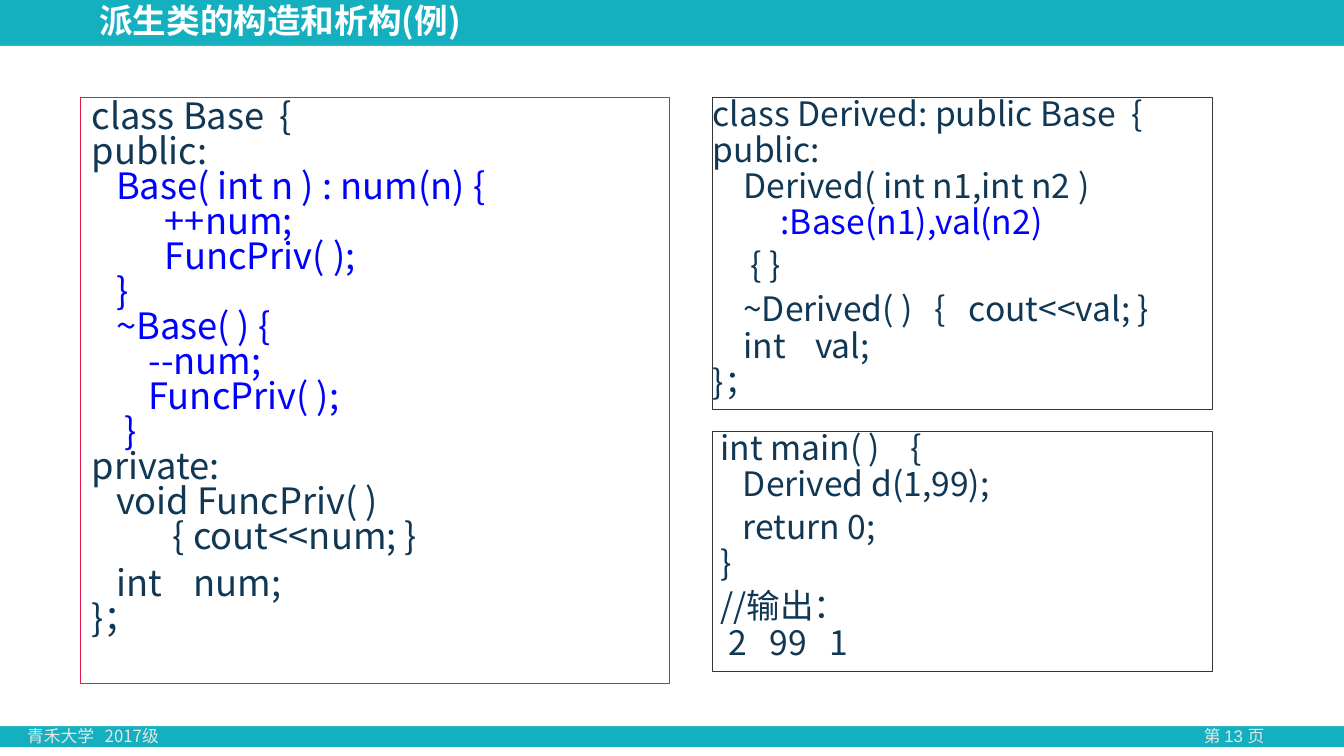
from lxml import etree
from pptx import Presentation, util as u
from pptx.dml.color import RGBColor
from pptx.enum import shapes, text
from pptx.oxml.ns import qn

TEAL = RGBColor(0x14, 0xB0, 0xC0)
WHITE = RGBColor(0xFF, 0xFF, 0xFF)
PALE = RGBColor(0xE7, 0xE6, 0xE6)
NAVY = RGBColor(0x10, 0x37, 0x54)
BLUE = RGBColor(0x00, 0x00, 0xFF)
CRIMSON = RGBColor(0xE6, 0x1A, 0x4B)
GRAPHITE = RGBColor(0x34, 0x35, 0x37)
SANS = "Noto Sans CJK SC"
WIDTH, HEIGHT = u.Inches(13.33), u.Inches(7.5)
SPACE_SHARE = 0.224

BASE_CLASS = [
    ("class Base\t{", [23.1], NAVY, 0),
    ("public:", [], NAVY, 0),
    ("\tBase( int n ) : num(n) {", [3], BLUE, 0),
    ("\t++num;", [9], BLUE, 0),
    ("\tFuncPriv( );", [9], BLUE, 0),
    ("\t}", [3], BLUE, 0),
    ("\t~Base( ) {", [3], BLUE, 0),
    ("\t--num;", [7], BLUE, 0),
    ("\tFuncPriv( );", [7], BLUE, 0),
    ("\t}", [4], BLUE, 0),
    ("private:", [], NAVY, 0),
    ("\tvoid FuncPriv( )", [3], NAVY, 0),
    ("\t{ cout<<num; }", [10], NAVY, 0),
    ("\tint\tnum;", [3, 12.55], NAVY, 9),
    ("}；", [], NAVY, 0),
]
DERIVED_CLASS = [
    ("class Derived: public Base\t{", [55.6], NAVY, 0),
    ("public:", [], NAVY, 0),
    ("\tDerived( int n1,int n2 )", [4.05], NAVY, 0),
    ("\t:Base(n1),val(n2)", [9], BLUE, 0),
    ("\t{ }", [5], NAVY, 5),
    ("\t~Derived( )\t{\tcout<<val; }", [4.05, 29.5, 34], NAVY, 5.5),
    ("\tint\tval;", [4.05, 13.6], NAVY, 0.7),
    ("}；", [], NAVY, 0.5),
]
MAIN_FUNCTION = [
    ("\tint main( )\t{", [1, 26.2], NAVY, 0),
    ("\tDerived d(1,99);", [4], NAVY, 0),
    ("\treturn 0;", [4], NAVY, 5),
    ("\t}", [1], NAVY, 0),
    ("\t//输出：", [1], NAVY, 5),
    ("\t2\t99\t1", [2.1, 7.55, 15.45], NAVY, 0.5),
]


def apply(target, values):
    for name, value in values.items():
        setattr(target, name, value)


def share(left, top, width, height):
    return [int(size * percent / 100) for size, percent in
            zip((WIDTH, HEIGHT, WIDTH, HEIGHT), (left, top, width, height))]


def write(paragraph, wording, size, color, font=SANS, bold=False):
    run = paragraph.add_run()
    run.text = wording
    apply(run.font, {"name": font, "size": u.Pt(size), "bold": bold})
    run.font.color.rgb = color
    etree.SubElement(run.font._element, qn("a:ea"), typeface=SANS)


def set_tabs(paragraph, stops, unit):
    tabs = etree.SubElement(paragraph._p.get_or_add_pPr(), qn("a:tabLst"))
    for stop in stops:
        etree.SubElement(tabs, qn("a:tab"), pos=str(int(stop * unit)), algn="l")


def panel(slide, area, color):
    backdrop = slide.shapes.add_shape(shapes.MSO_SHAPE.RECTANGLE, *share(*area))
    backdrop.shadow.inherit = False
    backdrop.fill.solid()
    backdrop.fill.fore_color.rgb = color
    backdrop.line.fill.background()


def code_box(slide, area, lines, outline, size, pitch, inset, headroom):
    box = slide.shapes.add_shape(shapes.MSO_SHAPE.RECTANGLE, *share(*area))
    box.shadow.inherit = False
    box.fill.background()
    box.line.color.rgb = outline
    box.line.width = u.Pt(0.75)
    frame = box.text_frame
    apply(frame, {"word_wrap": True, "vertical_anchor": text.MSO_ANCHOR.TOP,
                  "margin_left": u.Inches(inset), "margin_right": u.Inches(inset),
                  "margin_top": u.Inches(headroom), "margin_bottom": 0})
    for index, (wording, stops, color, gap) in enumerate(lines):
        line = frame.add_paragraph() if index else frame.paragraphs[0]
        apply(line, {"alignment": text.PP_ALIGN.LEFT, "line_spacing": u.Pt(pitch),
                     "space_before": u.Pt(gap)})
        if stops:
            set_tabs(line, stops, u.Pt(size) * SPACE_SHARE)
        write(line, wording, size, color)


def footer(slide, area, wording, font, alignment, stops=()):
    frame = slide.shapes.add_textbox(*share(*area)).text_frame
    frame.word_wrap = True
    frame.paragraphs[0].alignment = alignment
    if stops:
        set_tabs(frame.paragraphs[0], stops, u.Inches(1))
    write(frame.paragraphs[0], wording, 12, PALE, font)


def heading(slide, area, wording):
    title = slide.shapes.title
    apply(title, dict(zip(("left", "top", "width", "height"), share(*area))))
    frame = title.text_frame
    apply(frame, {"word_wrap": True, "vertical_anchor": text.MSO_ANCHOR.MIDDLE,
                  "auto_size": text.MSO_AUTO_SIZE.NONE})
    apply(frame.paragraphs[0], {"alignment": text.PP_ALIGN.LEFT, "line_spacing": 0.9})
    write(frame.paragraphs[0], wording, 24, WHITE, bold=True)


def main():
    deck = Presentation()
    apply(deck, {"slide_width": WIDTH, "slide_height": HEIGHT})
    slide = deck.slides.add_slide(deck.slide_layouts[5])
    panel(slide, (0, -1.2, 100, 100), TEAL)
    panel(slide, (0, 6.07, 100, 90), WHITE)
    footer(slide, (86.35, 95.4, 10.95, 4), "第 13 页", "Arial", text.PP_ALIGN.CENTER)
    footer(slide, (1.28, 95.4, 13.8, 4), "青禾大学\t2017级", SANS,
           text.PP_ALIGN.LEFT, [0.77])
    heading(slide, (6.64, 0.45, 57.61, 5.2), "派生类的构造和析构(例)")
    slide.shapes._spTree.append(slide.shapes.title._element)
    code_box(slide, (6, 12.87, 43.81, 77.6), BASE_CLASS, CRIMSON, 25.9, 25, 0.11, 0.04)
    code_box(slide, (53.04, 12.87, 37.21, 41.33), DERIVED_CLASS, GRAPHITE, 24, 25.7, 0, 0)
    code_box(slide, (53.04, 57.07, 37.21, 31.73), MAIN_FUNCTION, GRAPHITE, 24, 25.7, 0, 0)
    deck.save("out.pptx")


if __name__ == "__main__":
    main()
